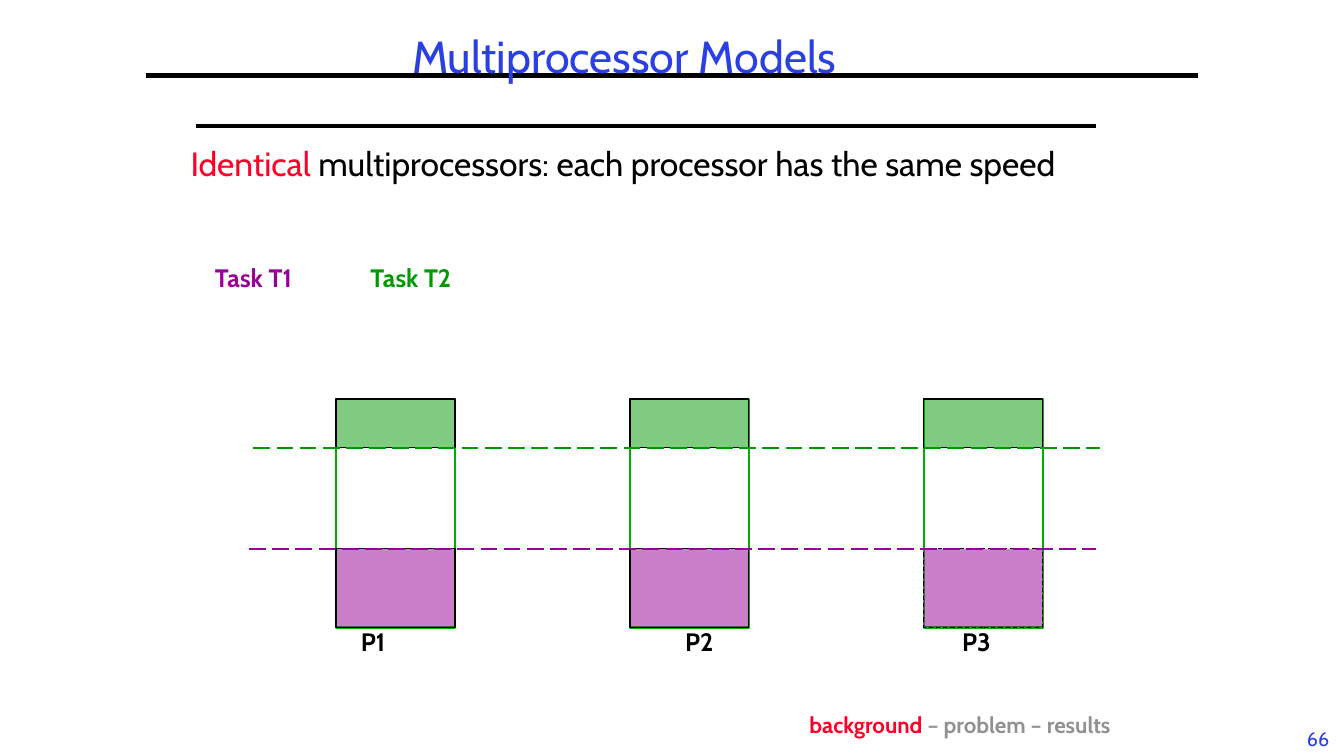
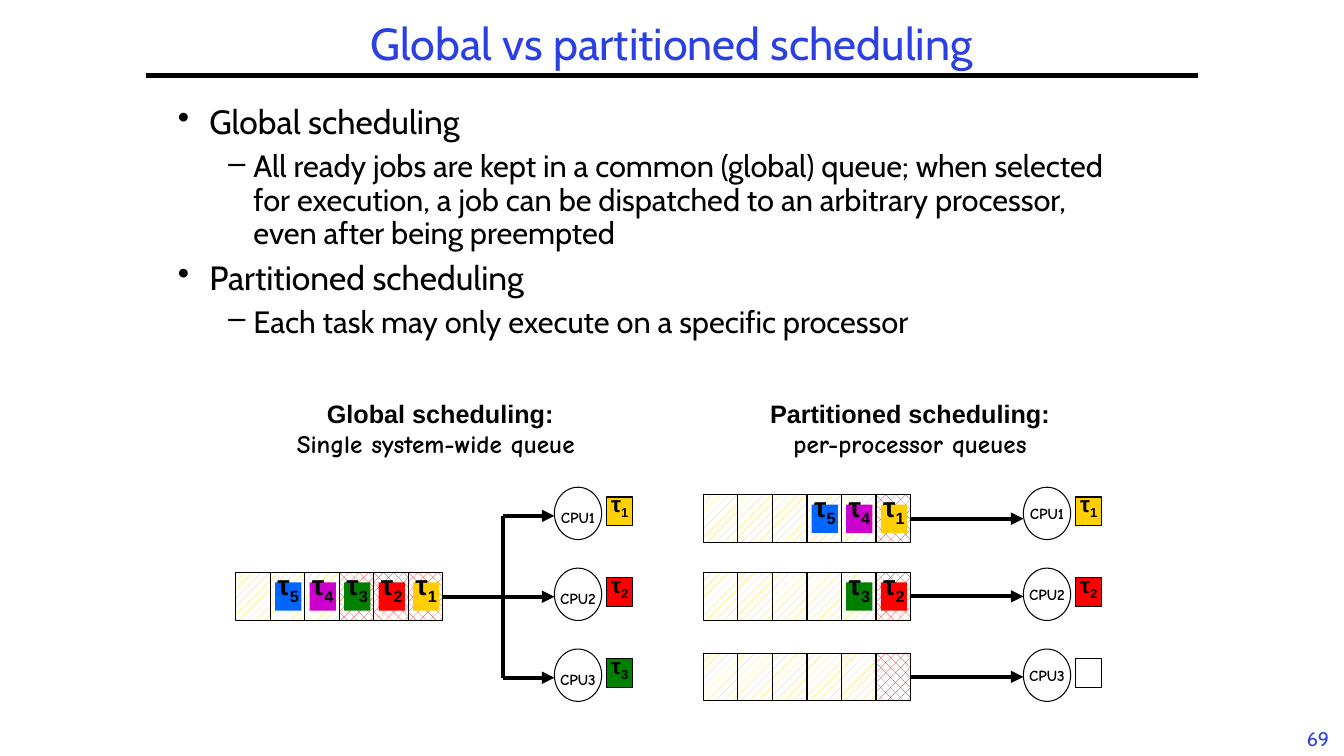
from dataclasses import dataclass

from pptx import Presentation
from pptx.dml.color import RGBColor
from pptx.enum.dml import MSO_LINE, MSO_PATTERN
from pptx.enum.shapes import MSO_CONNECTOR, MSO_SHAPE
from pptx.enum.text import MSO_ANCHOR, PP_ALIGN
from pptx.oxml.ns import qn
from pptx.util import Pt
from lxml import etree

RECT, OVAL = MSO_SHAPE.RECTANGLE, MSO_SHAPE.OVAL
STRAIGHT = MSO_CONNECTOR.STRAIGHT
DASH, LONG_DASH = MSO_LINE.DASH, MSO_LINE.LONG_DASH
SPARSE, DENSE = MSO_PATTERN.PERCENT_20, MSO_PATTERN.PERCENT_30
LEFT, CENTER, RIGHT = PP_ALIGN.LEFT, PP_ALIGN.CENTER, PP_ALIGN.RIGHT
TOP, MIDDLE, BOTTOM = MSO_ANCHOR.TOP, MSO_ANCHOR.MIDDLE, MSO_ANCHOR.BOTTOM

BODY_FONT, HEADING_FONT, HAND_FONT = "Cabin", "Arial", "Comic Neue"
BLACK, WHITE, BLUE, CRIMSON, GRAY = "000000", "FFFFFF", "2A40E2", "FC0128", "919191"
PURPLE, GREEN, OUTLINE_GREEN = "990099", "009900", "00AE00"
YELLOW, RED = "FFCF01", "FF0000"
TASK_COLORS = {1: YELLOW, 2: RED, 3: "008000", 4: "CC00CC", 5: "0066FF"}

CELL_W, CELL_H, QUEUE_LENGTH = 24.65, 34, 6
TOKEN_W, TOKEN_H = 18.7, 20.2
CPU_W, CPU_H = 33.8, 37.4
CPU_TOPS = [348 + 57.8 * row for row in range(3)]
QUEUE_TOPS = (353.5, 409, 466.5)


@dataclass
class Span:
    text: str
    size: float
    color: str = BLACK
    bold: bool = False
    font: str = BODY_FONT
    subscript: bool = False


def rgb(color):
    return RGBColor.from_string(color)


def write(shape, paragraphs, align=LEFT, anchor=TOP, wrap=False, spacing=None):
    """Fill a shape with paragraphs, each a list of spans."""
    frame = shape.text_frame
    frame.word_wrap = wrap
    frame.vertical_anchor = anchor
    for index, spans in enumerate(paragraphs):
        paragraph = frame.add_paragraph() if index else frame.paragraphs[0]
        paragraph.alignment = align
        if spacing:
            paragraph.line_spacing = spacing
        for span in spans:
            run = paragraph.add_run()
            run.text = span.text
            run.font.name = span.font
            run.font.size = Pt(span.size)
            run.font.bold = span.bold
            run.font.color.rgb = rgb(span.color)
            if span.subscript:
                run._r.get_or_add_rPr().set("baseline", "-25000")


def add_text(slide, left, top, width, height, paragraphs, **layout):
    box = slide.shapes.add_textbox(Pt(left), Pt(top), Pt(width), Pt(height))
    write(box, paragraphs, **layout)
    return box


def add_block(slide, left, top, width, height, fill=None, line=BLACK,
              weight=0.75, kind=RECT, alpha=None, pattern=None):
    block = slide.shapes.add_shape(kind, Pt(left), Pt(top), Pt(width), Pt(height))
    block.shadow.inherit = False
    if fill is None:
        block.fill.background()
    elif pattern is not None:
        block.fill.patterned()
        block.fill.pattern = pattern
        block.fill.fore_color.rgb = rgb(fill)
        block.fill.back_color.rgb = rgb(WHITE)
    else:
        block.fill.solid()
        block.fill.fore_color.rgb = rgb(fill)
    if alpha:
        color = block.element.spPr.find(qn("a:solidFill")).find(qn("a:srgbClr"))
        etree.SubElement(color, qn("a:alpha")).set("val", str(alpha * 1000))
    if line:
        block.line.color.rgb = rgb(line)
        block.line.width = Pt(weight)
    else:
        block.line.fill.background()
    return block


def add_line(slide, x1, y1, x2, y2, weight=3, color=BLACK, dash=None, arrow=False):
    line = slide.shapes.add_connector(STRAIGHT, Pt(x1), Pt(y1), Pt(x2), Pt(y2))
    line.line.color.rgb = rgb(color)
    line.line.width = Pt(weight)
    if dash:
        line.line.dash_style = dash
    properties = line.element.spPr
    if arrow:
        outline = properties.find(qn("a:ln"))
        etree.SubElement(outline, qn("a:tailEnd")).set("type", "triangle")
    etree.SubElement(properties, qn("a:effectLst"))


def add_base(deck, title, number, title_area):
    """Start a slide with its title, rule and page number."""
    slide = deck.slides.add_slide(deck.slide_layouts[6])
    add_text(slide, 926, 516, 31, 24, [[Span(number, 14, BLUE)]], align=CENTER)
    add_line(slide, 104, 54, 856, 54)
    add_text(slide, *title_area, [[Span(title, 32, BLUE)]],
             align=CENTER, anchor=MIDDLE, wrap=True, spacing=0.9)
    return slide


def add_label(slide, left, top, width, text, color=BLACK):
    add_text(slide, left, top, width, 29, [[Span(text, 18, color, True)]],
             align=CENTER, spacing=1.1)


def add_bullets(slide, left, top, width, height, items):
    """Add (level, text) items as a two-level list."""
    sizes, marks, margins, hangs = (24, 22), "•–", (22.5, 54), (22.5, 18)
    box = add_text(slide, left, top, width, height,
                   [[Span(text, sizes[level])] for level, text in items],
                   wrap=True, spacing=0.9)
    for index, (paragraph, (level, _)) in enumerate(zip(box.text_frame.paragraphs, items)):
        paragraph.level = level
        paragraph.space_before = Pt(0.3 * sizes[level] if index else 0)
        properties = paragraph._p.get_or_add_pPr()
        properties.set("marL", str(Pt(margins[level])))
        properties.set("indent", str(-Pt(hangs[level])))
        etree.SubElement(properties, qn("a:buChar")).set("char", marks[level])


def add_task(slide, left, top, task, size, line=None):
    token = add_block(slide, left, top, TOKEN_W, TOKEN_H, TASK_COLORS[task], line)
    write(token, [[Span("τ", size, BLACK, True, HEADING_FONT),
                   Span(str(task), size, BLACK, True, HEADING_FONT, True)]],
          align=CENTER, anchor=BOTTOM)


def add_queue(slide, left, top, tasks, served):
    """Draw a queue whose head is at the right; served cells are red."""
    lefts = [left + CELL_W * cell for cell in range(QUEUE_LENGTH)]
    for cell, cell_left in enumerate(lefts):
        at_head = cell >= QUEUE_LENGTH - served
        add_block(slide, cell_left, top, CELL_W, CELL_H, RED if at_head else YELLOW,
                  pattern=DENSE if at_head else SPARSE)
    for cell_left, task in zip(reversed(lefts), tasks):
        add_task(slide, cell_left + 3.4, top + 7, task, 20)


def add_cpus(slide, left, running, anchor):
    for number, (top, task) in enumerate(zip(CPU_TOPS, running), 1):
        cpu = add_block(slide, left, top, CPU_W, CPU_H, WHITE, kind=OVAL)
        write(cpu, [[Span(f"CPU{number}", 11, BLACK, True, HAND_FONT)]],
              align=CENTER, anchor=anchor)
        badge_left, badge_top = left + 37.4, top + 7
        if task:
            add_task(slide, badge_left, badge_top, task, 16, BLACK)
        else:
            add_block(slide, badge_left, badge_top, TOKEN_W, TOKEN_H, WHITE)


def add_diagram_heading(slide, left, width, heading, detail):
    add_text(slide, left, 281, width, 51,
             [[Span(heading, 18, BLACK, True, HEADING_FONT)],
              [Span(detail, 18, BLACK, True, HAND_FONT)]], align=CENTER)


def build_models(deck):
    slide = add_base(deck, "Multiprocessor Models", "66", (138, 12, 616, 60))
    add_text(slide, 129, 91, 711, 84,
             [[Span("Identical", 24, CRIMSON),
               Span(" multiprocessors: each processor has the same speed", 24)]],
             wrap=True, spacing=1.25)
    add_line(slide, 140, 90, 783, 90, 2.25)
    add_label(slide, 141, 181.5, 80, "Task T1", PURPLE)
    add_label(slide, 253.5, 181.5, 80, "Task T2", GREEN)

    processor_lefts = [240 + 210 * column for column in range(3)]
    processor_w, top, green_line, purple_line, bottom = 85, 285, 320, 392, 448
    for left in processor_lefts:
        add_block(slide, left, top, processor_w, bottom - top, None, OUTLINE_GREEN, 2)
    for number, label_left in enumerate((248, 481, 679), 1):
        add_label(slide, label_left, 442, 37, f"P{number}")
    for left in processor_lefts:
        first_task = add_block(slide, left, purple_line, processor_w,
                               bottom - purple_line, PURPLE, alpha=50)
        add_block(slide, left, top, processor_w, green_line - top, GREEN, alpha=50)
    first_task.line.dash_style = DASH
    add_line(slide, 178, purple_line, 783, purple_line, 1.5, PURPLE, LONG_DASH)
    add_line(slide, 181, green_line, 786, green_line, 1.5, GREEN, LONG_DASH)
    add_text(slide, 436, 505, 368, 26,
             [[Span("background", 16, CRIMSON, True),
               Span(" – problem – results ", 16, GRAY, True)]],
             align=RIGHT, anchor=BOTTOM, wrap=True)


def build_scheduling(deck):
    slide = add_base(deck, "Global vs partitioned scheduling", "69", (104, 12, 752, 42))
    add_bullets(slide, 120, 72, 678, 410, [
        (0, "Global scheduling"),
        (1, "All ready jobs are kept in a common (global) queue; when selected "
            "for execution, a job can be dispatched to an arbitrary processor, "
            "even after being preempted"),
        (0, "Partitioned scheduling"),
        (1, "Each task may only execute on a specific processor"),
    ])

    add_diagram_heading(slide, 190, 249, "Global scheduling:", "Single system-wide queue ")
    global_left, fork, cpu_left = 168.5, 359.5, 396
    add_cpus(slide, cpu_left, (1, 2, 3), BOTTOM)
    branches = [top + 20.5 for top in CPU_TOPS]
    queue_end = global_left + QUEUE_LENGTH * CELL_W
    for start, y in zip((fork, queue_end, fork), branches):
        add_line(slide, start, y, cpu_left, y, arrow=True)
    add_line(slide, fork, branches[0], fork, branches[-1])
    add_queue(slide, global_left, QUEUE_TOPS[1], (1, 2, 3, 4, 5), served=3)

    add_diagram_heading(slide, 541.5, 217, "Partitioned scheduling:", "per-processor queues")
    partition_left, cpu_left = 502.5, 731
    add_cpus(slide, cpu_left, (1, 2, None), MIDDLE)
    queue_end = partition_left + QUEUE_LENGTH * CELL_W
    for top, tasks in zip(QUEUE_TOPS, ((1, 4, 5), (2, 3), ())):
        y = top + CELL_H / 2
        add_line(slide, queue_end, y, cpu_left, y, arrow=True)
        add_queue(slide, partition_left, top, tasks, served=1)


def main():
    deck = Presentation()
    deck.slide_width, deck.slide_height = Pt(960), Pt(540)
    build_models(deck)
    build_scheduling(deck)
    deck.save("out.pptx")


if __name__ == "__main__":
    main()
